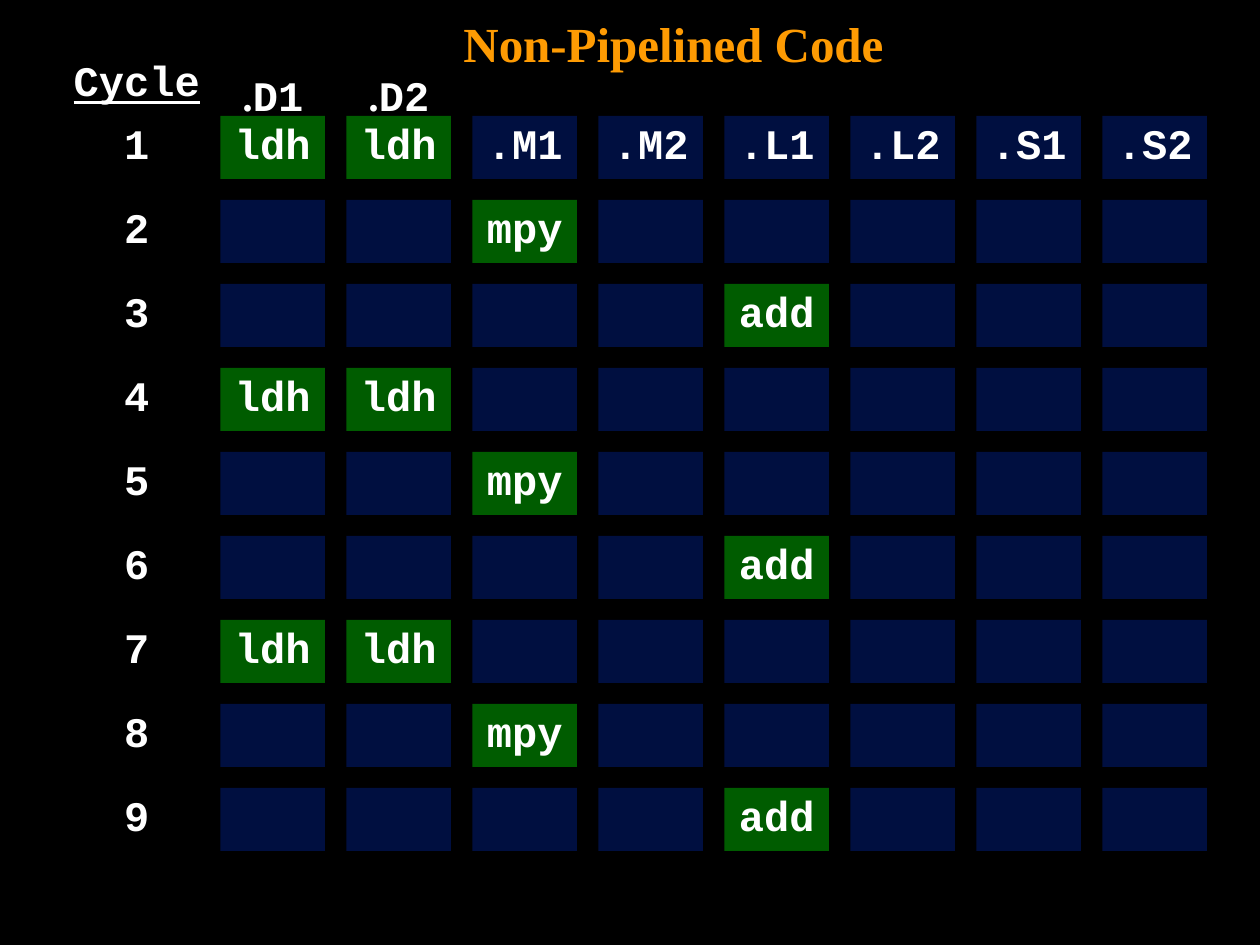
from pptx import Presentation
from pptx.dml.color import RGBColor
from pptx.enum.shapes import MSO_SHAPE
from pptx.enum.text import MSO_ANCHOR, PP_ALIGN
from pptx.util import Inches, Pt

RECTANGLE = MSO_SHAPE.RECTANGLE
MIDDLE = MSO_ANCHOR.MIDDLE
CENTER = PP_ALIGN.CENTER

BLACK, WHITE, ORANGE = "000000", "FFFFFF", "FE9B03"
IDLE, BUSY = "000F40", "005C00"
CODE_FONT, TITLE_FONT = "Courier New", "Times New Roman"

CELL_WIDTH, CELL_HEIGHT = Inches(0.83), Inches(0.5)
COLUMN_STEP, ROW_STEP = Inches(1), Inches(2 / 3)
HEADING_OVERHANG = Inches(0.22)

UNITS = [".D1", ".D2", ".M1", ".M2", ".L1", ".L2", ".S1", ".S2"]
# Instructions of one loop pass, one dictionary per cycle
LOOP = [{".D1": "ldh", ".D2": "ldh"}, {".M1": "mpy"}, {".L1": "add"}]
PASSES = 3


def rgb(color):
    return RGBColor.from_string(color)


def style_font(font, name=CODE_FONT, size=24, color=WHITE):
    font.name = name
    font.size = Pt(size)
    font.bold = True
    font.color.rgb = rgb(color)


def write_label(shape, text):
    frame = shape.text_frame
    frame.word_wrap = False
    frame.vertical_anchor = MIDDLE
    paragraph = frame.paragraphs[0]
    paragraph.text = text
    paragraph.alignment = CENTER
    paragraph.line_spacing = 0.8
    style_font(paragraph.font)
    return paragraph


def add_cell(slide, left, top, text, color):
    cell = slide.shapes.add_shape(RECTANGLE, left, top, CELL_WIDTH, CELL_HEIGHT)
    cell.shadow.inherit = False
    cell.fill.solid()
    cell.fill.fore_color.rgb = rgb(color)
    cell.line.fill.background()
    if text:
        write_label(cell, text)


def add_title(slide, left, top, width, height):
    frame = slide.shapes.add_textbox(left, top, width, height).text_frame
    frame.word_wrap = False
    paragraph = frame.paragraphs[0]
    paragraph.text = "Non-Pipelined Code"
    style_font(paragraph.font, TITLE_FONT, 28, ORANGE)


def add_cycle_column(slide, left, top):
    """Place the cycle numbers from top down, with a wider heading above."""
    heading = slide.shapes.add_textbox(
        left - HEADING_OVERHANG, top - CELL_HEIGHT,
        CELL_WIDTH + 2 * HEADING_OVERHANG, CELL_HEIGHT)
    write_label(heading, "Cycle").font.underline = True
    for row in range(PASSES * len(LOOP)):
        box = slide.shapes.add_textbox(left, top + row * ROW_STEP,
                                       CELL_WIDTH, CELL_HEIGHT)
        write_label(box, str(row + 1))


def add_schedule(slide, left, top):
    """Place the grid of units by cycles; idle units are named in the first row."""
    for row, instructions in enumerate(LOOP * PASSES):
        for column, unit in enumerate(UNITS):
            idle_text = unit if row == 0 else ""
            add_cell(slide, left + column * COLUMN_STEP, top + row * ROW_STEP,
                     instructions.get(unit, idle_text),
                     BUSY if unit in instructions else IDLE)


def add_unit_headings(slide, left, top, width, height):
    """Name the units whose first-row cells hold an instruction."""
    for column, unit in enumerate(LOOP[0]):
        box = slide.shapes.add_textbox(left + column * COLUMN_STEP, top, width, height)
        box.text_frame.word_wrap = True
        paragraph = box.text_frame.paragraphs[0]
        paragraph.alignment = CENTER
        paragraph.line_spacing = 0.8
        for text, font_name in ((unit[0], TITLE_FONT), (unit[1:], CODE_FONT)):
            run = paragraph.add_run()
            run.text = text
            style_font(run.font, font_name)


def main():
    presentation = Presentation()
    presentation.slide_width = Inches(10)
    presentation.slide_height = Inches(7.5)
    slide = presentation.slides.add_slide(presentation.slide_layouts[6])
    slide.background.fill.solid()
    slide.background.fill.fore_color.rgb = rgb(BLACK)

    grid_top = Inches(0.92)
    add_cycle_column(slide, Inches(0.67), grid_top)
    add_schedule(slide, Inches(1.75), grid_top)
    add_unit_headings(slide, Inches(1.58), Inches(0.58), Inches(1.17), Inches(0.42))
    add_title(slide, Inches(3.58), Inches(0.06), Inches(3.57), Inches(0.57))
    presentation.save("out.pptx")


if __name__ == "__main__":
    main()
